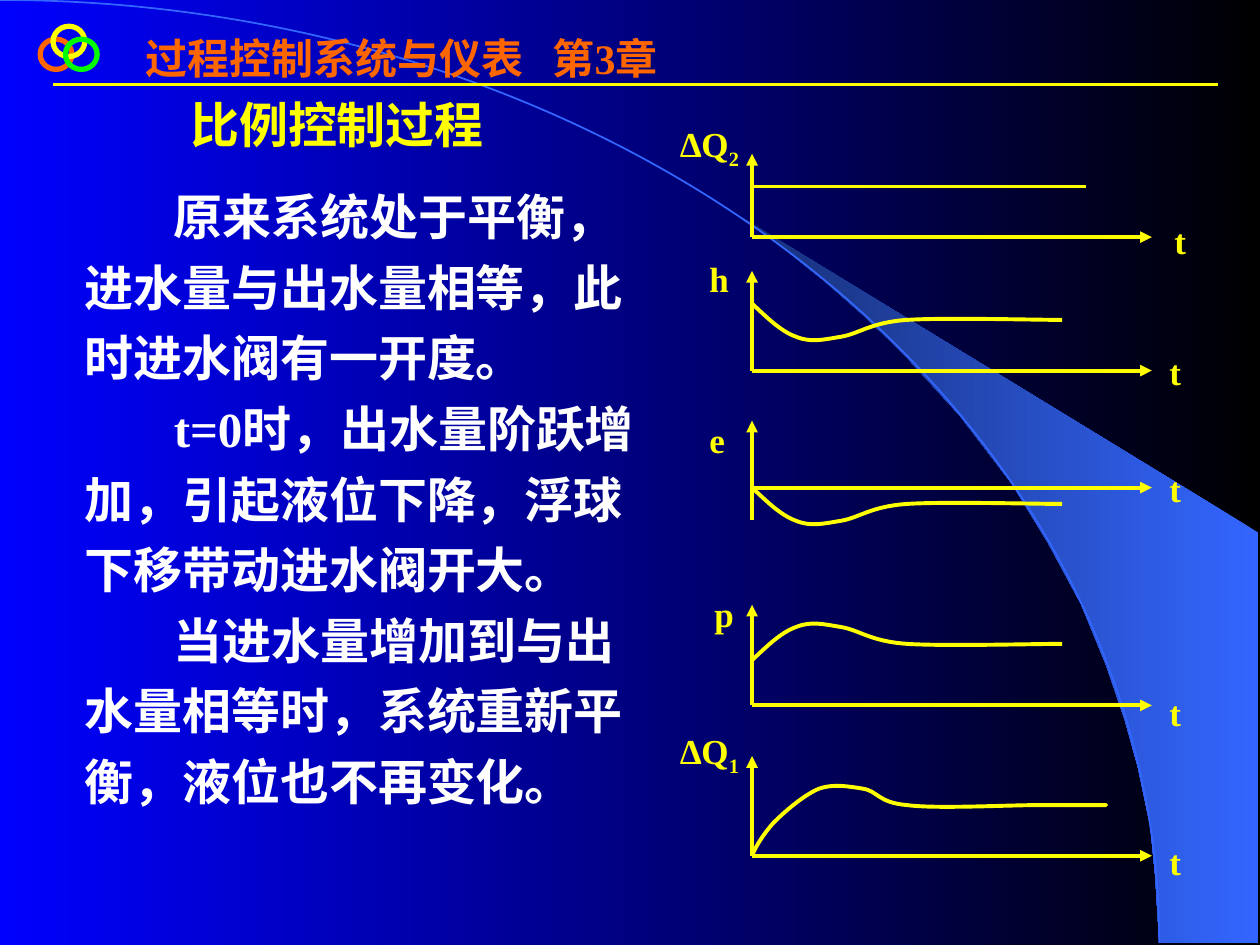
from lxml import etree
from pptx import Presentation
from pptx.dml.color import RGBColor
from pptx.enum.shapes import MSO_CONNECTOR, MSO_SHAPE
from pptx.enum.text import MSO_ANCHOR, MSO_AUTO_SIZE, PP_ALIGN
from pptx.oxml.ns import qn
from pptx.util import Cm, Pt

STRAIGHT = MSO_CONNECTOR.STRAIGHT
ARC, OVAL = MSO_SHAPE.ARC, MSO_SHAPE.OVAL
TOP, MIDDLE = MSO_ANCHOR.TOP, MSO_ANCHOR.MIDDLE
LEFT, CENTER = PP_ALIGN.LEFT, PP_ALIGN.CENTER
FIT = MSO_AUTO_SIZE.SHAPE_TO_FIT_TEXT

YELLOW, ORANGE, GREEN, WHITE = "FFFF00", "FF6600", "00FF00", "FFFFFF"
BLACK, BLUE, SKY, NAVY = "000000", "0000FF", "3366FF", "172F75"

AXIS_LEFT, AXIS_RIGHT = 15.16, 23.22
SWING = [(0.3, 0.28), (0.58, 0.56), (0.89, 0.67), (1.19, 0.79), (1.42, 0.73), (1.79, 0.67),
         (2.16, 0.61), (2.39, 0.38), (3.12, 0.33), (3.86, 0.28), (5.74, 0.33), (6.25, 0.33)]
INFLOW = [(0.1, 0.23), (0.23, 0.43), (0.43, 0.66), (0.66, 0.89), (1.04, 1.22), (1.35, 1.35),
          (1.63, 1.45), (1.93, 1.4), (2.24, 1.35), (2.54, 1.3), (2.54, 1.07), (3.12, 1.02),
          (3.71, 0.94), (5.13, 1.02), (5.82, 1.02), (6.48, 1.02), (7.06, 1.02), (7.14, 1.02),
          (7.21, 1.02), (6.4, 1.02), (6.25, 1.02)]
BAND = [(23.37, 19), (25.37, 19.02), (25.37, 10.74), (14.96, 4.39), (15.85, 5.05),
        (16.59, 5.64), (17.4, 6.35), (18.19, 7.11), (19.35, 8.38), (20.4, 9.75),
        (21.13, 10.95), (21.79, 12.17), (22.3, 13.41), (22.68, 14.53), (22.94, 15.47),
        (23.19, 16.66), (23.29, 17.68), (23.37, 19)]
STORY = ["原来系统处于平衡，进水量与出水量相等，此时进水阀有一开度。",
         "t=0时，出水量阶跃增加，引起液位下降，浮球下移带动进水阀开大。",
         "当进水量增加到与出水量相等时，系统重新平衡，液位也不再变化。"]
TALL = {"alignment": CENTER, "line_spacing": 1.2}


def color(hex_value):
    return RGBColor.from_string(hex_value)


def assign(target, values):
    for name, value in values.items():
        setattr(target, name, value)


class SlideBuilder:
    """Draws styled elements on one slide, with lengths in centimetres."""

    font_name = "Times New Roman"

    def __init__(self, slide):
        self.slide = slide
        self.shapes = slide.shapes

    def gradient(self, fill, first, last):
        fill.gradient()
        fill.gradient_angle = 180
        for stop, shade in zip(fill.gradient_stops, (first, last)):
            stop.color.rgb = color(shade)

    def stroke(self, shape, shade, width):
        shape.line.color.rgb = color(shade)
        shape.line.width = Pt(width)

    def outline(self, kind, left, top, width, height, shade, weight):
        shape = self.shapes.add_shape(kind, Cm(left), Cm(top), Cm(width), Cm(height))
        shape.shadow.inherit = False
        shape.fill.background()
        self.stroke(shape, shade, weight)

    def line(self, x1, y1, x2, y2, weight=2.25, arrow=False):
        connector = self.shapes.add_connector(STRAIGHT, Cm(x1), Cm(y1), Cm(x2), Cm(y2))
        self.stroke(connector, YELLOW, weight)
        properties = connector._element.spPr
        if arrow:
            etree.SubElement(properties.find(qn("a:ln")), qn("a:tailEnd"), type="triangle")
        etree.SubElement(properties, qn("a:effectLst"))

    def freeform(self, points, close):
        (x, y), *rest = [(Cm(px), Cm(py)) for px, py in points]
        builder = self.shapes.build_freeform(x, y)
        builder.add_line_segments(rest, close=close)
        shape = builder.convert_to_shape()
        shape.shadow.inherit = False
        return shape

    def band(self, points):
        shape = self.freeform(points, True)
        self.gradient(shape.fill, SKY, NAVY)
        shape.line.fill.background()

    def curve(self, start, offsets, direction):
        points = [(AXIS_LEFT + dx, start + direction * dy) for dx, dy in [(0, 0)] + offsets]
        shape = self.freeform(points, False)
        shape.fill.background()
        self.stroke(shape, YELLOW, 2.25)
        outline = next(shape._element.iter(qn("a:path")))
        segments = outline.findall(qn("a:lnTo"))
        for first in range(0, len(segments), 3):
            bezier = etree.SubElement(outline, qn("a:cubicBezTo"))
            for segment in segments[first:first + 3]:
                bezier.append(segment[0])
                outline.remove(segment)

    def add_text(self, paragraph, text, size, shade, layout):
        assign(paragraph, layout)
        run = paragraph.add_run()
        run.text = text
        assign(run.font, {"name": self.font_name, "size": Pt(size), "bold": True})
        run.font.color.rgb = color(shade)
        return run

    def place(self, shape, left, top, width, height, anchor=MIDDLE, wrap=True):
        assign(shape, {"left": Cm(left), "top": Cm(top),
                       "width": Cm(width), "height": Cm(height)})
        frame = shape.text_frame
        assign(frame, {"word_wrap": wrap, "auto_size": FIT, "vertical_anchor": anchor})
        return frame

    def textbox(self, left, top, width, height, **frame_format):
        box = self.shapes.add_textbox(0, 0, 0, 0)
        return self.place(box, left, top, width, height, **frame_format).paragraphs[0]

    def header(self, text, left, top, width, height, tab):
        paragraph = self.textbox(left, top, width, height, anchor=TOP)
        tabs = etree.SubElement(paragraph._p.get_or_add_pPr(), qn("a:tabLst"))
        etree.SubElement(tabs, qn("a:tab"), pos=str(Cm(tab)), algn="l")
        self.add_text(paragraph, text, 24, ORANGE, {"alignment": LEFT})

    def title(self, text, *bounds):
        frame = self.place(self.shapes.title, *bounds)
        self.add_text(frame.paragraphs[0], text, 28, YELLOW, {"alignment": LEFT})

    def body(self, texts, *bounds):
        frame = self.place(self.slide.placeholders[1], *bounds)
        layout = {"alignment": LEFT, "line_spacing": 1.2, "space_before": Pt(0)}
        for index, text in enumerate(texts):
            paragraph = frame.add_paragraph() if index else frame.paragraphs[0]
            properties = paragraph._p.get_or_add_pPr()
            properties.set("marL", "0")
            properties.set("indent", str(Cm(1.8)))
            etree.SubElement(properties, qn("a:buNone"))
            self.add_text(paragraph, text, 28, WHITE, layout)

    def symbol(self, text, left, top, width):
        paragraph = self.textbox(left, top, width, 1.27, anchor=TOP, wrap=False)
        self.add_text(paragraph, text, 20, YELLOW, TALL)

    def flow_symbol(self, number, left, top):
        paragraph = self.textbox(left, top, 1.7, 1.22, wrap=False)
        self.add_text(paragraph, "∆Q", 20, YELLOW, {"alignment": LEFT})
        subscript = self.add_text(paragraph, number, 20, YELLOW, {})
        subscript._r.get_or_add_rPr().set("baseline", "-25000")

    def axes(self, origin, top, bottom, time_left, time_top):
        self.line(AXIS_LEFT, origin, AXIS_RIGHT, origin, arrow=True)
        self.line(AXIS_LEFT, bottom, AXIS_LEFT, top, arrow=True)
        self.symbol("t", time_left, time_top, 0.74)


def main():
    deck = Presentation()
    deck.slide_width, deck.slide_height = Cm(25.4), Cm(19.05)
    page = SlideBuilder(deck.slides.add_slide(deck.slide_layouts[1]))
    page.gradient(page.slide.background.fill, BLACK, BLUE)

    page.band(BAND)
    page.outline(ARC, -23.37, 0, 46.74, 38.02, SKY, 1)
    page.line(1.07, 1.7, 24.56, 1.7, weight=1.5)
    page.header("过程控制系统与仪表\t第3章", 2.69, 0.53, 11.4, 2.29, tab=8.2)
    for left, top, shade in [(0.81, 0.79, ORANGE), (1.07, 0.53, YELLOW), (1.32, 0.79, GREEN)]:
        page.outline(OVAL, left, top, 0.64, 0.61, shade, 3)

    page.title("比例控制过程", 3.58, 1.78, 7.24, 1.45)
    page.body(STORY, 1.45, 3.4, 11.89, 13.06)

    for origin, top, bottom, time_left, time_top in [
            (4.78, 3.1, 4.78, 23.42, 4.14), (7.47, 5.46, 7.47, 23.32, 6.78),
            (9.83, 8.48, 10.49, 23.32, 9.14), (14.22, 12.19, 14.22, 23.32, 13.64),
            (17.25, 15.24, 17.25, 23.32, 16.66)]:
        page.axes(origin, top, bottom, time_left, time_top)

    page.line(AXIS_LEFT, 3.76, 21.89, 3.76)
    for start, offsets, direction in [(6.12, SWING, 1), (9.83, SWING, 1),
                                      (13.31, SWING, -1), (17.25, INFLOW, -1)]:
        page.curve(start, offsets, direction)

    for number, top in [("2", 2.34), ("1", 14.58)]:
        page.flow_symbol(number, 13.46, top)
    for name, left, top, width in [("h", 14.05, 4.9, 0.89), ("e", 14.05, 8.15, 0.81),
                                   ("p", 14.15, 11.66, 0.89)]:
        page.symbol(name, left, top, width)

    deck.save("out.pptx")


if __name__ == "__main__":
    main()
